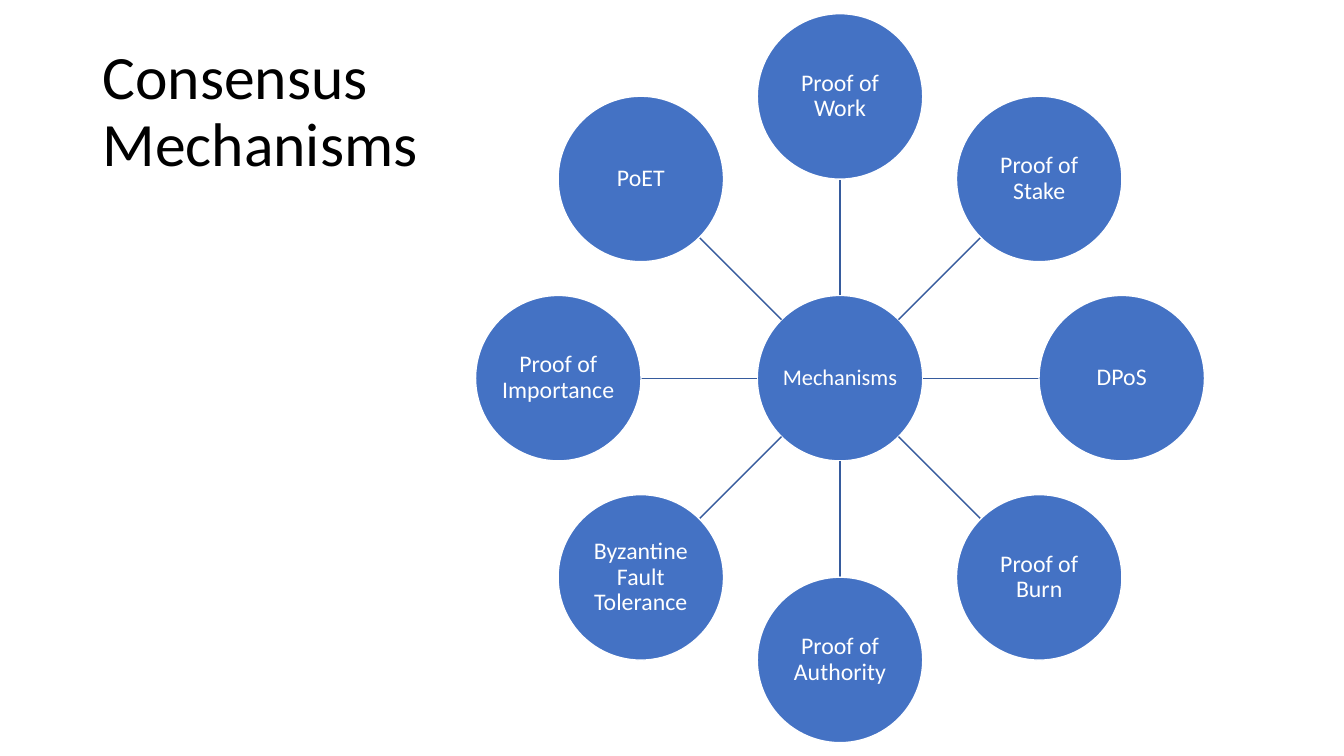
from dataclasses import dataclass
from math import cos, radians, sin

from pptx import Presentation
from pptx.dml.color import RGBColor
from pptx.enum.shapes import MSO_CONNECTOR, MSO_SHAPE
from pptx.enum.text import MSO_ANCHOR, MSO_AUTO_SIZE, PP_ALIGN
from pptx.oxml.ns import qn
from pptx.util import Cm, Pt
from lxml.etree import SubElement


@dataclass(frozen=True)
class Theme:
    font: str = "Calibri"
    title_size: int = 44
    hub_size: int = 16
    node_size: int = 17
    title_color: RGBColor = RGBColor(0x00, 0x00, 0x00)
    node_fill: RGBColor = RGBColor(0x44, 0x72, 0xC4)
    node_text: RGBColor = RGBColor(0xFF, 0xFF, 0xFF)
    spoke_color: RGBColor = RGBColor(0x36, 0x5B, 0x9D)


theme = Theme()


def format_text(text_frame, size, color, alignment):
    text_frame.word_wrap = True
    text_frame.auto_size = MSO_AUTO_SIZE.NONE
    text_frame.vertical_anchor = MSO_ANCHOR.MIDDLE
    for paragraph in text_frame.paragraphs:
        paragraph.alignment = alignment
        paragraph.line_spacing = 0.9
        for run in paragraph.runs:
            run.font.name = theme.font
            run.font.size = Pt(size)
            run.font.color.rgb = color


def add_circle(slide, x, y, diameter, label, size):
    shape = slide.shapes.add_shape(
        MSO_SHAPE.OVAL, Cm(x - diameter / 2), Cm(y - diameter / 2), Cm(diameter), Cm(diameter)
    )
    shape.shadow.inherit = False
    shape.fill.solid()
    shape.fill.fore_color.rgb = theme.node_fill
    shape.line.color.rgb = theme.node_text
    shape.line.width = Pt(1)
    text_frame = shape.text_frame
    text_frame.text = label
    text_frame.margin_left = text_frame.margin_right = Cm(0.03)
    text_frame.margin_top = text_frame.margin_bottom = Cm(0.03)
    format_text(text_frame, size, theme.node_text, PP_ALIGN.CENTER)


presentation = Presentation()
presentation.slide_width = Cm(33.87)
presentation.slide_height = Cm(19.05)
slide = presentation.slides.add_slide(presentation.slide_layouts[5])

title = slide.shapes.title
title.left, title.top, title.width, title.height = Cm(2.33), Cm(1.01), Cm(29.21), Cm(3.68)
title.text_frame.paragraphs[0].text = "Consensus\nMechanisms"
format_text(title.text_frame, theme.title_size, theme.title_color, PP_ALIGN.LEFT)

center_x, center_y = 21.17, 9.53
diameter = 4.17
orbit = 7.1
mechanisms = [
    "Proof of Work",
    "Proof of Stake",
    "DPoS",
    "Proof of Burn",
    "Proof of Authority",
    "Byzantine Fault Tolerance",
    "Proof of Importance",
    "PoET",
]

add_circle(slide, center_x, center_y, diameter, "Mechanisms", theme.hub_size)
for index, mechanism in enumerate(mechanisms):
    angle = radians(360 / len(mechanisms) * index - 90)
    across, down = cos(angle), sin(angle)
    inner, outer = diameter / 2, orbit - diameter / 2
    spoke = slide.shapes.add_connector(
        MSO_CONNECTOR.STRAIGHT,
        Cm(center_x + inner * across),
        Cm(center_y + inner * down),
        Cm(center_x + outer * across),
        Cm(center_y + outer * down),
    )
    spoke.line.color.rgb = theme.spoke_color
    spoke.line.width = Pt(1)
    SubElement(spoke._element.spPr, qn("a:effectLst"))
    add_circle(
        slide,
        center_x + orbit * across,
        center_y + orbit * down,
        diameter,
        mechanism,
        theme.node_size,
    )

presentation.save("out.pptx")
